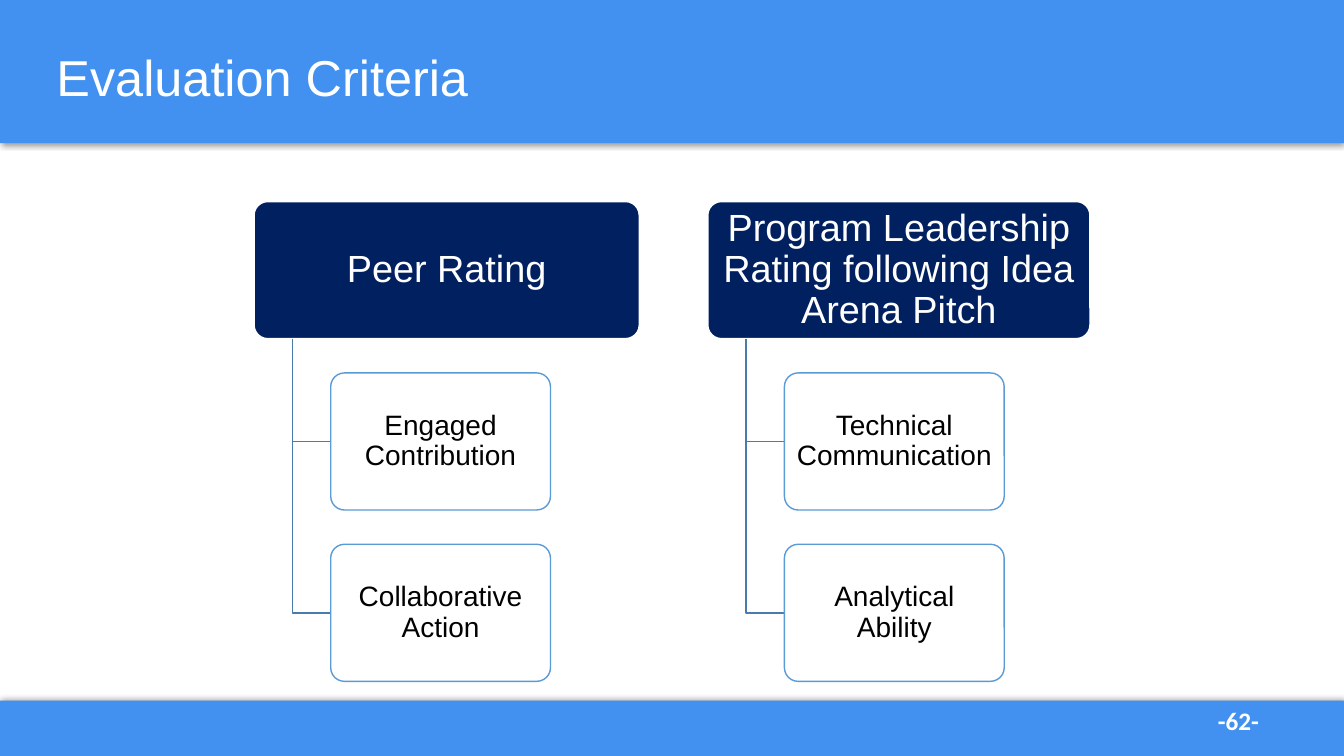
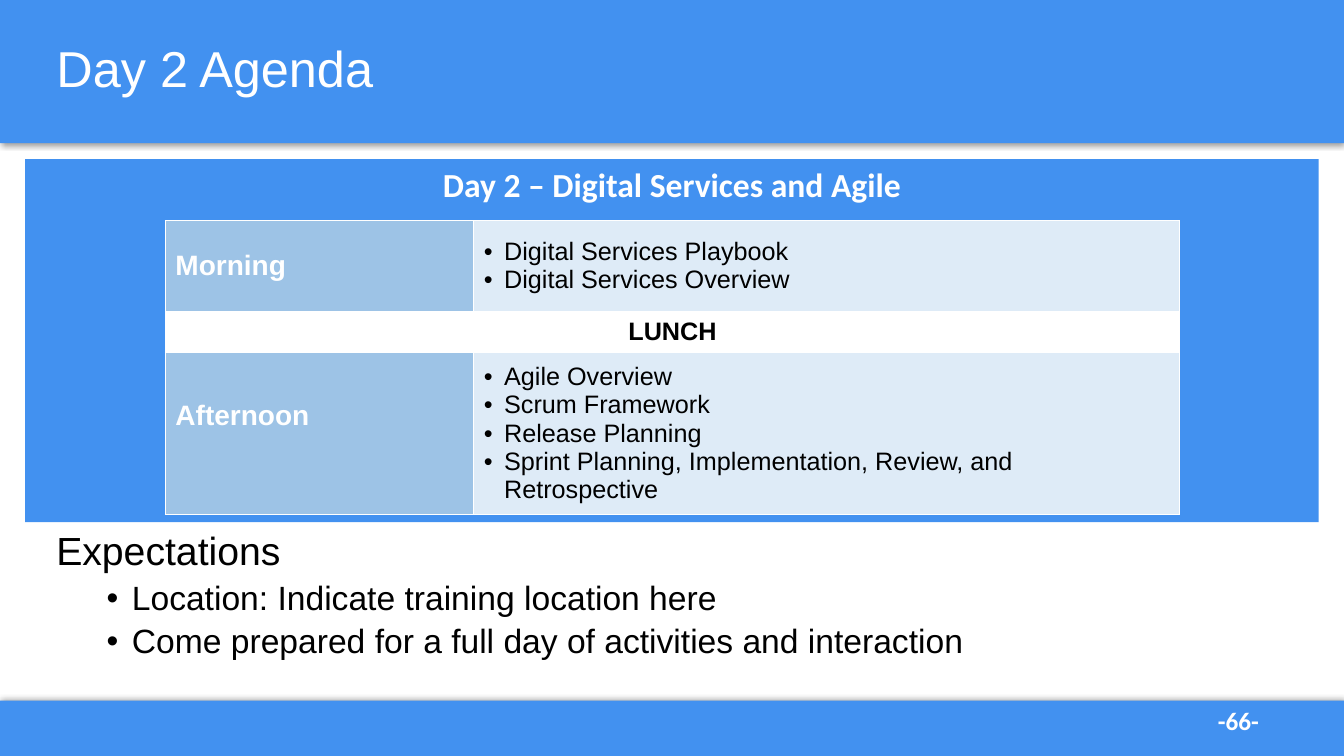
"""Build two training slides: evaluation criteria and the day 2 agenda."""
import dataclasses

import lxml.etree
import pptx
import pptx.dml.color
import pptx.enum.shapes
import pptx.enum.text
import pptx.oxml.ns
import pptx.util

Inches = pptx.util.Inches
ALIGN = pptx.enum.text.PP_ALIGN
ANCHOR = pptx.enum.text.MSO_ANCHOR
SHAPE = pptx.enum.shapes.MSO_SHAPE


@dataclasses.dataclass(frozen=True)
class Theme:
    """Colours, fonts and type sizes of the deck."""
    band: str = "4291F0"
    navy: str = "002060"
    outline: str = "5B9BD5"
    connector: str = "497CAB"
    period: str = "9DC3E6"
    topics: str = "DEEBF7"
    white: str = "FFFFFF"
    black: str = "000000"
    text_font: str = "Arial"
    label_font: str = "Calibri"
    title: int = 36
    lead: int = 28
    heading: int = 27
    body: int = 24
    leaf: int = 20
    cell: int = 18
    tight: float = 0.9


THEME = Theme()
WIDTH, HEIGHT = 13.33, 7.5
HEADER_HEIGHT = 1.42
FOOTER_TOP = 6.95


def rgb(colour):
    """Turn a hex string into a colour."""
    return pptx.dml.color.RGBColor.from_string(colour)


def add_xml(parent, tag, **attributes):
    """Append a drawing element to its parent."""
    return lxml.etree.SubElement(parent, pptx.oxml.ns.qn(tag), attributes)


def add_bullet(para, left, hang):
    """Give a paragraph a round bullet and a hanging indent."""
    properties = para._p.get_or_add_pPr()
    properties.set("marL", str(Inches(left)))
    properties.set("indent", str(-Inches(hang)))
    add_xml(properties, "a:buFont", typeface="Arial")
    add_xml(properties, "a:buChar", char="•")


def write(frame, lines, size, colour, bold=False, font=THEME.text_font, align=ALIGN.LEFT,
          spacing=None, bullet=None):
    """Fill a text frame with one paragraph for each line."""
    frame.word_wrap = True
    for index, line in enumerate(lines):
        para = frame.paragraphs[0] if index == 0 else frame.add_paragraph()
        write_para(para, line, size, colour, bold, font, align, spacing, bullet)


def write_para(para, line, size, colour, bold=False, font=THEME.text_font, align=ALIGN.LEFT,
               spacing=None, bullet=None):
    """Write one formatted run into a paragraph."""
    if bullet:
        add_bullet(para, *bullet)
    para.alignment = align
    if spacing:
        para.line_spacing = spacing
    span = para.add_run()
    span.text = line
    span.font.name = font
    span.font.size = pptx.util.Pt(size)
    span.font.bold = bold
    span.font.color.rgb = rgb(colour)


def set_insets(frame, side, top):
    """Set equal side insets and equal top and bottom insets."""
    frame.margin_left = frame.margin_right = Inches(side)
    frame.margin_top = frame.margin_bottom = Inches(top)


def add_box(page, kind, box, fill, line=None):
    """Add a flat shape with an optional thin outline."""
    shape = page.shapes.add_shape(kind, *map(Inches, box))
    shape.fill.solid()
    shape.fill.fore_color.rgb = rgb(fill)
    if line:
        shape.line.color.rgb = rgb(line)
        shape.line.width = pptx.util.Pt(1)
    else:
        shape.line.fill.background()
    shape.shadow.inherit = False
    return shape


def add_bands(page):
    """Draw the shadowed header and footer bands on the layout of a page."""
    bands = (((0, FOOTER_TOP, WIDTH, HEIGHT - FOOTER_TOP), 270),
             ((0, 0, WIDTH, HEADER_HEIGHT), 90))
    for position, (box, angle) in enumerate(bands, 2):
        band = add_box(page, SHAPE.RECTANGLE, box, THEME.band).element
        effects = band.find(".//" + pptx.oxml.ns.qn("a:effectLst"))
        shadow = add_xml(effects, "a:outerShdw", blurRad=str(pptx.util.Pt(4)),
                         dist=str(pptx.util.Pt(1)), dir=str(angle * 60000),
                         algn="ctr", rotWithShape="0")
        add_xml(add_xml(shadow, "a:srgbClr", val=THEME.black), "a:alpha", val="40000")
        page.slide_layout.shapes.element.insert(position, band)


def add_page(deck, title, title_top, title_height, number):
    """Add a page with its title and page number."""
    page = deck.slides.add_slide(deck.slide_layouts[5])
    heading = page.shapes.title
    heading.left, heading.top, heading.width, heading.height = map(
        Inches, (0.46, title_top, 12.42, title_height))
    heading.text_frame.vertical_anchor = ANCHOR.MIDDLE
    heading.text_frame.auto_size = pptx.enum.text.MSO_AUTO_SIZE.NONE
    write(heading.text_frame, [title], THEME.title, THEME.white, spacing=THEME.tight)
    label = page.shapes.add_textbox(*map(Inches, (11.98, FOOTER_TOP, 0.98, 0.4)))
    write(label.text_frame, [f"-{number}-"], THEME.cell, THEME.white, True, THEME.label_font)
    return page


def add_node(page, box, text, size, colour, fill, line, inset):
    """Add a rounded box with centred text."""
    node = add_box(page, SHAPE.ROUNDED_RECTANGLE, box, fill, line)
    node.adjustments[0] = 0.1
    set_insets(node.text_frame, inset, inset)
    node.text_frame.vertical_anchor = ANCHOR.MIDDLE
    write(node.text_frame, [text], size, colour, align=ALIGN.CENTER, spacing=THEME.tight)


def add_elbow(page, left, top, right, bottom):
    """Draw a line that goes down and then right."""
    builder = page.shapes.build_freeform(Inches(left), Inches(top))
    builder.add_line_segments([(Inches(left), Inches(bottom)), (Inches(right), Inches(bottom))],
                              close=False)
    elbow = builder.convert_to_shape()
    elbow.fill.background()
    elbow.line.color.rgb = rgb(THEME.connector)
    elbow.line.width = pptx.util.Pt(1)
    elbow.shadow.inherit = False


def add_branch(page, left, top, width, heading, leaves):
    """Draw a heading with its criteria hanging below it."""
    height, step, indent = 1.36, 1.7, 0.38
    add_node(page, (left, top, width, height), heading, THEME.heading, THEME.white,
             THEME.navy, THEME.white, 0.1)
    leaf_left = left + 2 * indent
    for index, leaf in enumerate(leaves, 1):
        leaf_top = top + index * step
        add_elbow(page, left + indent, top + height, leaf_left, leaf_top + height / 2)
        add_node(page, (leaf_left, leaf_top, 2.18, height), leaf, THEME.leaf, THEME.black,
                 THEME.white, THEME.outline, 0.06)


def fill_cell(cell, fill):
    """Give a cell its fill and thin white borders."""
    properties = cell._tc.get_or_add_tcPr()
    for side in ("a:lnL", "a:lnR", "a:lnT", "a:lnB"):
        border = add_xml(properties, side, w=str(pptx.util.Pt(1)))
        add_xml(add_xml(border, "a:solidFill"), "a:srgbClr", val=THEME.white)
    cell.fill.solid()
    cell.fill.fore_color.rgb = rgb(fill)
    cell.vertical_anchor = ANCHOR.MIDDLE


def add_agenda_table(page, left, top, sessions):
    """Add the table of morning and afternoon sessions around lunch."""
    columns, rows = (3.06, 7), (0.9, 0.41, 1.5)
    table = page.shapes.add_table(3, 2, *map(Inches, (left, top, sum(columns), sum(rows)))).table
    table.first_row = table.horz_banding = False
    for column, width in zip(table.columns, columns):
        column.width = Inches(width)
    for row, height in zip(table.rows, rows):
        row.height = Inches(height)
    for index, (period, topics) in zip((0, 2), sessions):
        name, content = table.cell(index, 0), table.cell(index, 1)
        fill_cell(name, THEME.period)
        fill_cell(content, THEME.topics)
        write(name.text_frame, [period], THEME.leaf, THEME.white, True)
        write(content.text_frame, topics, THEME.cell, THEME.black, bullet=(0.2, 0.2))
    table.cell(2, 0).margin_bottom = Inches(0.4)
    lunch = table.cell(1, 0)
    lunch.merge(table.cell(1, 1))
    for cell in (lunch, table.cell(1, 1)):
        fill_cell(cell, THEME.white)
    write(lunch.text_frame, ["LUNCH"], THEME.cell, THEME.black, True, align=ALIGN.CENTER)


def add_agenda_panel(page, left, top, width, height, heading, sessions):
    """Add the blue panel with its heading and session table."""
    panel = add_box(page, SHAPE.RECTANGLE, (left, top, width, height), THEME.band)
    panel.text_frame.vertical_anchor = ANCHOR.TOP
    write(panel.text_frame, [heading], THEME.body, THEME.white, True, THEME.label_font,
          ALIGN.CENTER)
    add_agenda_table(page, left + 1.39, top + 0.61, sessions)


def add_expectations(page, left, top, width, height, heading, points):
    """Add a lead line followed by bulleted points."""
    frame = page.shapes.add_textbox(*map(Inches, (left, top, width, height))).text_frame
    write(frame, [heading], THEME.lead, THEME.black, spacing=THEME.tight)
    for point in points:
        para = frame.add_paragraph()
        para.level = 1
        para.space_before = pptx.util.Pt(5)
        write_para(para, point, THEME.body, THEME.black, spacing=THEME.tight,
                   bullet=(0.75, 0.25))


def build_criteria(deck):
    """Build the evaluation criteria page."""
    page = add_page(deck, "Evaluation Criteria", 0.3, 0.99, 62)
    add_bands(page)
    add_branch(page, 2.52, 2, 3.82, "Peer Rating",
               ["Engaged Contribution", "Collaborative Action"])
    add_branch(page, 7.02, 2, 3.79, "Program Leadership Rating following Idea Arena Pitch",
               ["Technical Communication", "Analytical Ability"])


def build_agenda(deck):
    """Build the day 2 agenda page."""
    page = add_page(deck, "Day 2 Agenda", -0.02, 1.45, 66)
    add_expectations(page, 0.46, 5.23, 12.42, 1.7, "Expectations",
                     ["Location: Indicate training location here",
                      "Come prepared for a full day of activities and interaction"])
    sessions = [
        ("Morning", ["Digital Services Playbook", "Digital Services Overview"]),
        ("Afternoon", ["Agile Overview", "Scrum Framework", "Release Planning",
                       "Sprint Planning, Implementation, Review, and Retrospective"]),
    ]
    add_agenda_panel(page, 0.25, 1.58, 12.83, 3.6, "Day 2 – Digital Services and Agile",
                     sessions)


def main():
    """Build and save the deck."""
    deck = pptx.Presentation()
    deck.slide_width, deck.slide_height = Inches(WIDTH), Inches(HEIGHT)
    build_criteria(deck)
    build_agenda(deck)
    deck.save("out.pptx")


if __name__ == "__main__":
    main()
